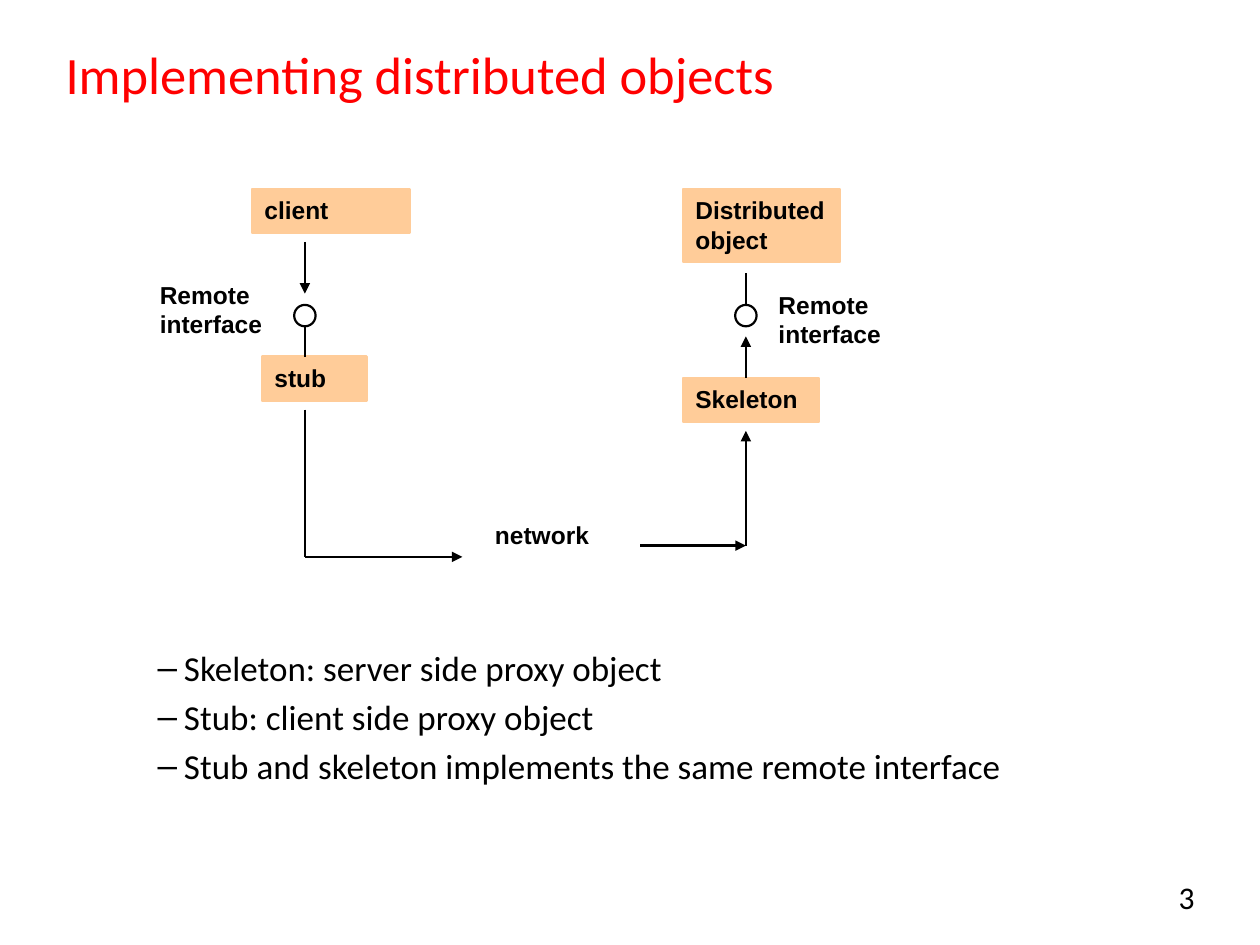
from lxml import etree
from pptx import Presentation
from pptx import util as u
from pptx.dml.color import RGBColor
from pptx.enum import shapes, text
from pptx.oxml.ns import qn

COLORS = {"title": "FF0000", "ink": "000000", "box": "FFCC99"}
LINE_WIDTH = u.Pt(1.25)
CLIENT_X, SERVER_X = 2.42, 5.92  # vertical axes of the two sides
CIRCLE_TOP, CIRCLE_SIZE = 2.42, 0.17


def color(name):
    return RGBColor.from_string(COLORS[name])


def inches(*lengths):
    return [u.Inches(length) for length in lengths]


def style_font(font, name, size, ink="ink", bold=False):
    font.name, font.size, font.bold = name, u.Pt(size), bold
    font.color.rgb = color(ink)


def place(shape, left, top, width, height):
    shape.left, shape.top, shape.width, shape.height = inches(left, top, width, height)


def write_label(shape, words):
    frame = shape.text_frame
    frame.word_wrap = True
    frame.vertical_anchor = text.MSO_ANCHOR.TOP
    frame.text = words
    paragraph = frame.paragraphs[0]
    paragraph.alignment = text.PP_ALIGN.LEFT
    style_font(paragraph.font, "Arial", 14, bold=True)


def add_label(slide, words, *bounds):
    write_label(slide.shapes.add_textbox(*inches(*bounds)), words)


def add_box(slide, words, *bounds):
    box = slide.shapes.add_shape(shapes.MSO_SHAPE.RECTANGLE, *inches(*bounds))
    box.shadow.inherit = False
    box.fill.solid()
    box.fill.fore_color.rgb = color("box")
    box.line.color.rgb = color("box")
    box.line.width = LINE_WIDTH
    write_label(box, words)


def add_line(parent, x1, y1, x2, y2, arrow=False):
    line = parent.shapes.add_connector(
        shapes.MSO_CONNECTOR.STRAIGHT, *inches(x1, y1, x2, y2))
    line.line.color.rgb = color("ink")
    line.line.width = LINE_WIDTH
    if arrow:
        etree.SubElement(line.line._get_or_add_ln(), qn("a:tailEnd"), type="triangle")
    etree.SubElement(line._element.spPr, qn("a:effectLst"))


def add_interface(slide, x, stem_start, stem_end):
    """Interface symbol: a circle on a short stem, grouped."""
    symbol = slide.shapes.add_group_shape()
    add_line(symbol, x, stem_start, x, stem_end)
    circle = symbol.shapes.add_shape(
        shapes.MSO_SHAPE.OVAL,
        *inches(x - CIRCLE_SIZE / 2, CIRCLE_TOP, CIRCLE_SIZE, CIRCLE_SIZE))
    circle.shadow.inherit = False
    circle.fill.background()
    circle.line.color.rgb = color("ink")
    circle.line.width = LINE_WIDTH


def fill_title(title, words):
    place(title, 0.42, 0.33, 9.08, 0.5)
    title.text_frame.text = words
    title.text_frame.vertical_anchor = text.MSO_ANCHOR.MIDDLE
    paragraph = title.text_frame.paragraphs[0]
    paragraph.alignment = text.PP_ALIGN.LEFT
    style_font(paragraph.font, "Calibri", 30, "title")


def fill_notes_list(body, items):
    place(body, 0.67, 5.08, 7.92, 1.75)
    frame = body.text_frame
    frame.text = "\n".join(items)
    for index, paragraph in enumerate(frame.paragraphs):
        paragraph.level = 1
        paragraph.space_before = u.Pt(4 if index else 0)
        properties = paragraph._p.get_or_add_pPr()
        properties.set("marL", str(u.Inches(0.69)))
        properties.set("indent", str(u.Inches(-0.21)))
        etree.SubElement(properties, qn("a:buChar"), char="–")
        style_font(paragraph.font, "Calibri", 20)


def add_page_number(slide, number):
    page = slide.shapes.add_textbox(*inches(8.83, 6.92, 0.75, 0.42))
    page.text_frame.word_wrap = True
    page.text_frame.text = number
    paragraph = page.text_frame.paragraphs[0]
    paragraph.alignment = text.PP_ALIGN.RIGHT
    style_font(paragraph.font, "Calibri", 18)


def main():
    deck = Presentation()
    deck.slide_width, deck.slide_height = inches(10, 7.5)
    slide = deck.slides.add_slide(deck.slide_layouts[1])

    # Title, list and page number
    fill_title(slide.shapes.title, "Implementing distributed objects")
    fill_notes_list(slide.placeholders[1], [
        "Skeleton: server side proxy object",
        "Stub: client side proxy object",
        "Stub and skeleton implements the same remote interface",
    ])
    add_page_number(slide, "3")

    # Objects on both sides
    add_box(slide, "stub", 2.08, 2.83, 0.83, 0.35)
    add_box(slide, "Skeleton", 5.42, 3, 1.08, 0.35)
    add_box(slide, "Distributed object", 5.42, 1.5, 1.25, 0.58)
    add_box(slide, "client", 2, 1.5, 1.25, 0.35)

    # Labels
    add_label(slide, "Remote interface", 6.08, 2.25, 1.42, 0.57)
    add_label(slide, "Remote interface", 1.17, 2.17, 1.33, 0.57)
    add_label(slide, "network", 3.83, 4.08, 1.08, 0.33)

    # Remote interfaces
    add_interface(slide, SERVER_X, 2.17, CIRCLE_TOP)
    add_interface(slide, CLIENT_X, 2.83, CIRCLE_TOP + CIRCLE_SIZE)

    # Call path from client to distributed object
    add_line(slide, CLIENT_X, 1.92, CLIENT_X, 2.33, arrow=True)
    add_line(slide, CLIENT_X, 3.25, CLIENT_X, 4.42)
    add_line(slide, CLIENT_X, 4.42, 3.67, 4.42, arrow=True)
    add_line(slide, 5.08, 4.33, SERVER_X, 4.33, arrow=True)
    add_line(slide, SERVER_X, 4.33, SERVER_X, 3.42, arrow=True)
    add_line(slide, SERVER_X, 3, SERVER_X, 2.67, arrow=True)

    deck.save("out.pptx")


if __name__ == "__main__":
    main()
